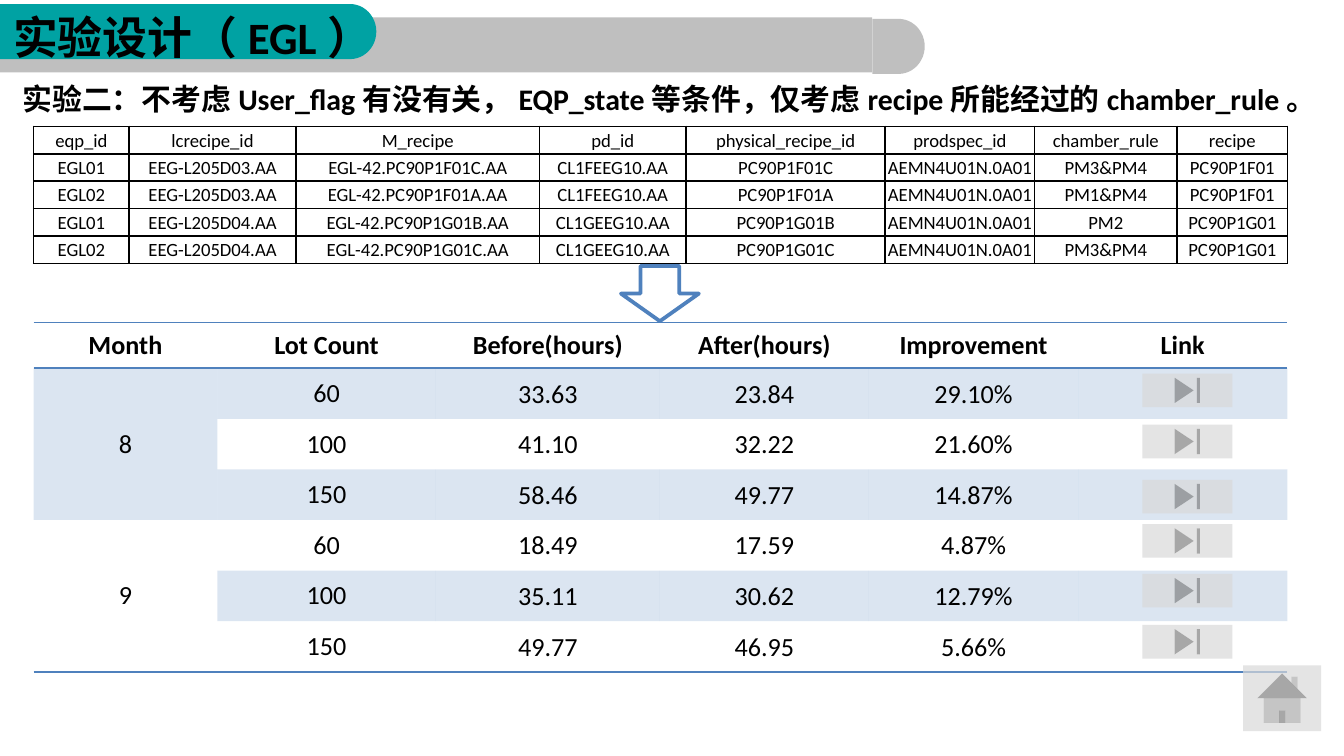
from dataclasses import dataclass

from lxml import etree
from pptx import Presentation
from pptx.dml.color import RGBColor
from pptx.enum.shapes import MSO_SHAPE
from pptx.enum.text import MSO_ANCHOR, PP_ALIGN
from pptx.oxml.ns import qn
from pptx.util import Inches, Pt

COLORS = {
    "black": "000000",
    "white": "FFFFFF",
    "grey": "BFBFBF",
    "button": "D9D9D9",
    "teal": "00A2A3",
    "blue": "4F81BD",
}
FONT = "Calibri"
NO_STYLE = "{2D5ABB26-0587-4C30-8999-92F81FD0307C}"
GRID_LEFT, GRID_WIDTH = 0.25, 9.33


@dataclass
class Block:
    """A preset shape; opacity is in percent."""
    kind: MSO_SHAPE
    left: float
    top: float
    width: float
    height: float
    fill: str
    opacity: int = 100
    line: str | None = None


@dataclass
class Grid:
    """A table; column widths are shares of the common grid width."""
    top: float
    columns: list[float]
    heights: list[float]
    rows: list[list[str]]


BANNER = [
    Block(MSO_SHAPE.FLOWCHART_DELAY, 6.49, 0.14, 0.39, 0.41, "grey"),
    Block(MSO_SHAPE.RECTANGLE, 0, 0.13, 6.49, 0.41, "grey"),
    Block(MSO_SHAPE.FLOWCHART_DELAY, 2.41, 0.03, 0.39, 0.41, "teal"),
    Block(MSO_SHAPE.RECTANGLE, 0, 0.03, 2.41, 0.41, "teal"),
]
LINK_TOPS = [2.78, 3.16, 3.57, 3.9, 4.27, 4.65]
CONTROLS = [
    Block(MSO_SHAPE.ACTION_BUTTON_END, 8.5, top, 0.67, 0.25, "button", 70)
    for top in LINK_TOPS
] + [
    Block(MSO_SHAPE.DOWN_ARROW, 4.62, 1.98, 0.58, 0.41, "white", line="blue"),
    Block(MSO_SHAPE.ACTION_BUTTON_HOME, 9.25, 4.95, 0.58, 0.49, "button", 70),
]

RESULTS = Grid(2.4, [1.37, 1.63, 1.67, 1.56, 1.56, 1.56], [0.34] + [2.26 / 6] * 6, [
    ["Month", "Lot Count", "Before(hours)", "After(hours)", "Improvement", "Link"],
    ["8", "60", "33.63", "23.84", "29.10%", ""],
    ["", "100", "41.10", "32.22", "21.60%", ""],
    ["", "150", "58.46", "49.77", "14.87%", ""],
    ["9", "60", "18.49", "17.59", "4.87%", ""],
    ["", "100", "35.11", "30.62", "12.79%", ""],
    ["", "150", "49.77", "46.95", "5.66%", ""],
])
RECIPES = Grid(0.94, [0.71, 1.24, 1.81, 1.09, 1.48, 1.11, 1.06, 0.82], [1.02 / 5] * 5, [
    ["eqp_id", "lcrecipe_id", "M_recipe", "pd_id", "physical_recipe_id",
     "prodspec_id", "chamber_rule", "recipe"],
    ["EGL01", "EEG-L205D03.AA", "EGL-42.PC90P1F01C.AA", "CL1FEEG10.AA", "PC90P1F01C",
     "AEMN4U01N.0A01", "PM3&PM4", "PC90P1F01"],
    ["EGL02", "EEG-L205D03.AA", "EGL-42.PC90P1F01A.AA", "CL1FEEG10.AA", "PC90P1F01A",
     "AEMN4U01N.0A01", "PM1&PM4", "PC90P1F01"],
    ["EGL01", "EEG-L205D04.AA", "EGL-42.PC90P1G01B.AA", "CL1GEEG10.AA", "PC90P1G01B",
     "AEMN4U01N.0A01", "PM2", "PC90P1G01"],
    ["EGL02", "EEG-L205D04.AA", "EGL-42.PC90P1G01C.AA", "CL1GEEG10.AA", "PC90P1G01C",
     "AEMN4U01N.0A01", "PM3&PM4", "PC90P1G01"],
])


def rgb(name: str) -> RGBColor:
    return RGBColor.from_string(COLORS[name])


def write(frame, text: str, *, size: float, bold: bool = False, align=PP_ALIGN.LEFT) -> None:
    paragraph = frame.paragraphs[0]
    paragraph.alignment = align
    run = paragraph.add_run()
    run.text = text
    run.font.name = FONT
    run.font.size = Pt(size)
    run.font.bold = bold
    run.font.color.rgb = rgb("black")


def paint(target, parent, color: str, opacity: int = 100) -> None:
    """Fill a shape or cell; parent is the XML element that holds its fill."""
    target.fill.solid()
    target.fill.fore_color.rgb = rgb(color)
    if opacity < 100:
        tint = parent.find(qn("a:solidFill")).find(qn("a:srgbClr"))
        etree.SubElement(tint, qn("a:alpha"), val=str(opacity * 1000))


def draw_block(slide, block: Block) -> None:
    shape = slide.shapes.add_shape(block.kind, Inches(block.left), Inches(block.top),
                                   Inches(block.width), Inches(block.height))
    shape.shadow.inherit = False
    paint(shape, shape._element.spPr, block.fill, block.opacity)
    if block.line:
        shape.line.color.rgb = rgb(block.line)
        shape.line.width = Pt(2)
    else:
        shape.line.fill.background()


def add_heading(slide, text: str, left: float, top: float, width: float, height: float,
                size: float) -> None:
    box = slide.shapes.add_textbox(Inches(left), Inches(top), Inches(width), Inches(height))
    box.text_frame.word_wrap = True
    box.text_frame.vertical_anchor = MSO_ANCHOR.MIDDLE
    write(box.text_frame, text, size=size, bold=True)


def set_borders(cell, sides: str, color: str) -> None:
    """Draw 1 pt borders on the given sides, listed in the order L, R, T, B."""
    properties = cell._tc.get_or_add_tcPr()
    for index, side in enumerate(sides):
        line = etree.Element(qn(f"a:ln{side}"), w=str(Pt(1)))
        fill = etree.SubElement(line, qn("a:solidFill"))
        etree.SubElement(fill, qn("a:srgbClr"), val=COLORS[color])
        properties.insert(index, line)


def set_margins(cell, margin: float) -> None:
    cell.margin_left = cell.margin_right = cell.margin_top = Inches(margin)
    cell.margin_bottom = 0


def add_grid(slide, grid: Grid, size: float, bold_header: bool = False):
    """Add a plain table with centred text and no fills or borders."""
    table = slide.shapes.add_table(
        len(grid.rows), len(grid.columns), Inches(GRID_LEFT), Inches(grid.top),
        Inches(GRID_WIDTH), Inches(sum(grid.heights))).table
    table._tbl.tblPr.find(qn("a:tableStyleId")).text = NO_STYLE
    table.first_row = table.horz_banding = False
    for column, share in zip(table.columns, grid.columns):
        column.width = Inches(GRID_WIDTH * share / sum(grid.columns))
    for row, height in zip(table.rows, grid.heights):
        row.height = Inches(height)
    for r, values in enumerate(grid.rows):
        for c, value in enumerate(values):
            cell = table.cell(r, c)
            cell.fill.background()
            cell.vertical_anchor = MSO_ANCHOR.MIDDLE
            if value:
                write(cell.text_frame, value, size=size, bold=bold_header and r == 0,
                      align=PP_ALIGN.CENTER)
            else:
                set_margins(cell, 0)
    return table


def draw_results(slide) -> None:
    table = add_grid(slide, RESULTS, 14, bold_header=True)
    last = len(RESULTS.rows) - 1
    for r in range(last + 1):
        for c in range(len(RESULTS.columns)):
            cell = table.cell(r, c)
            if r and c >= 2:
                set_margins(cell, 0.01)
            if (c and r % 2) or (c == 0 and r in (1, 2, 3)):
                paint(cell, cell._tc.get_or_add_tcPr(), "blue", 20)
            if r == 0:
                set_borders(cell, "TB", "blue")
            elif r == last or (c == 0 and r == 4):
                set_borders(cell, "B", "blue")
    for first in (1, 4):
        table.cell(first, 0).merge(table.cell(first + 2, 0))


def draw_recipes(slide) -> None:
    for cell in add_grid(slide, RECIPES, 10).iter_cells():
        set_margins(cell, 0.01)
        set_borders(cell, "LRTB", "black")


def main() -> None:
    deck = Presentation()
    deck.slide_width = Inches(10)
    deck.slide_height = Inches(10 * 9 / 16)
    slide = deck.slides.add_slide(deck.slide_layouts[6])
    for block in BANNER:
        draw_block(slide, block)
    add_heading(slide, "实验设计（EGL）", 0, 0, 3.17, 0.54, 24)
    draw_results(slide)
    add_heading(slide, "实验二：不考虑User_flag有没有关，EQP_state等条件，"
                "仅考虑recipe所能经过的chamber_rule。", 0.07, 0.55, 9.84, 0.37, 16)
    draw_recipes(slide)
    for block in CONTROLS:
        draw_block(slide, block)
    deck.save("out.pptx")


if __name__ == "__main__":
    main()
